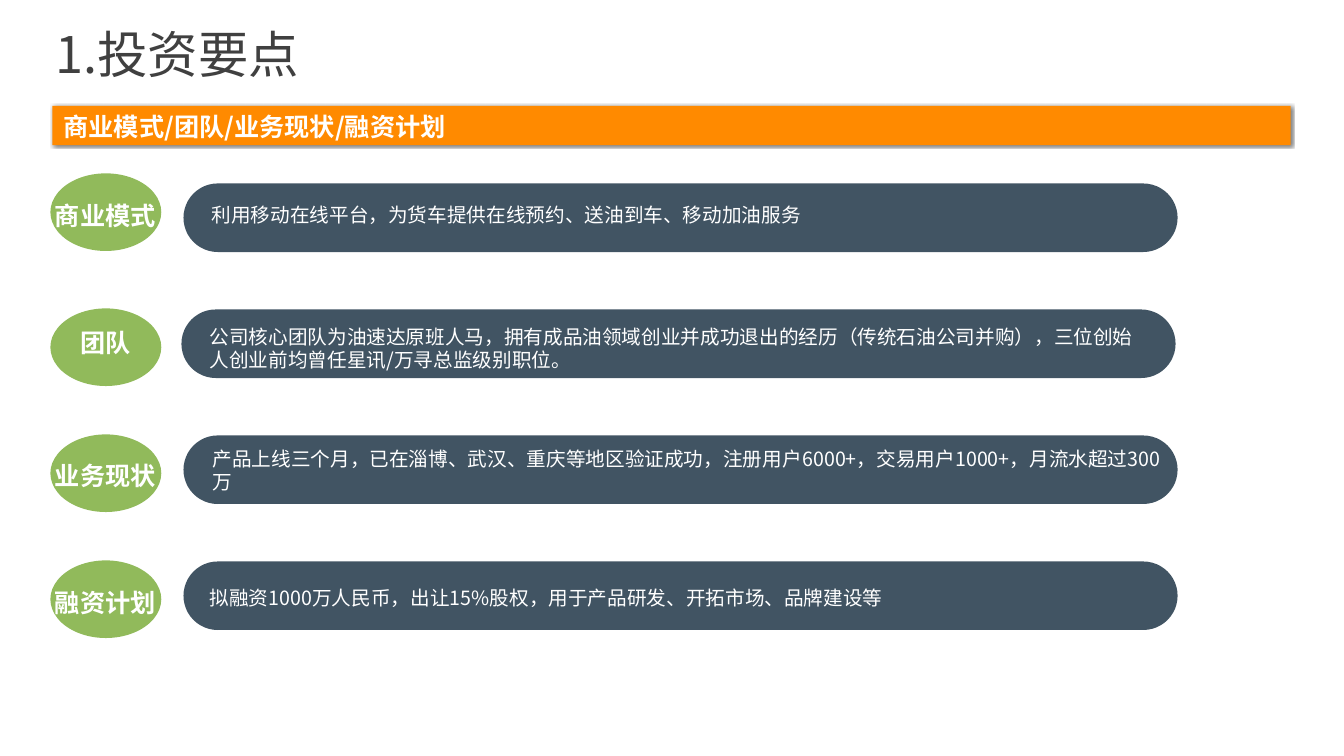
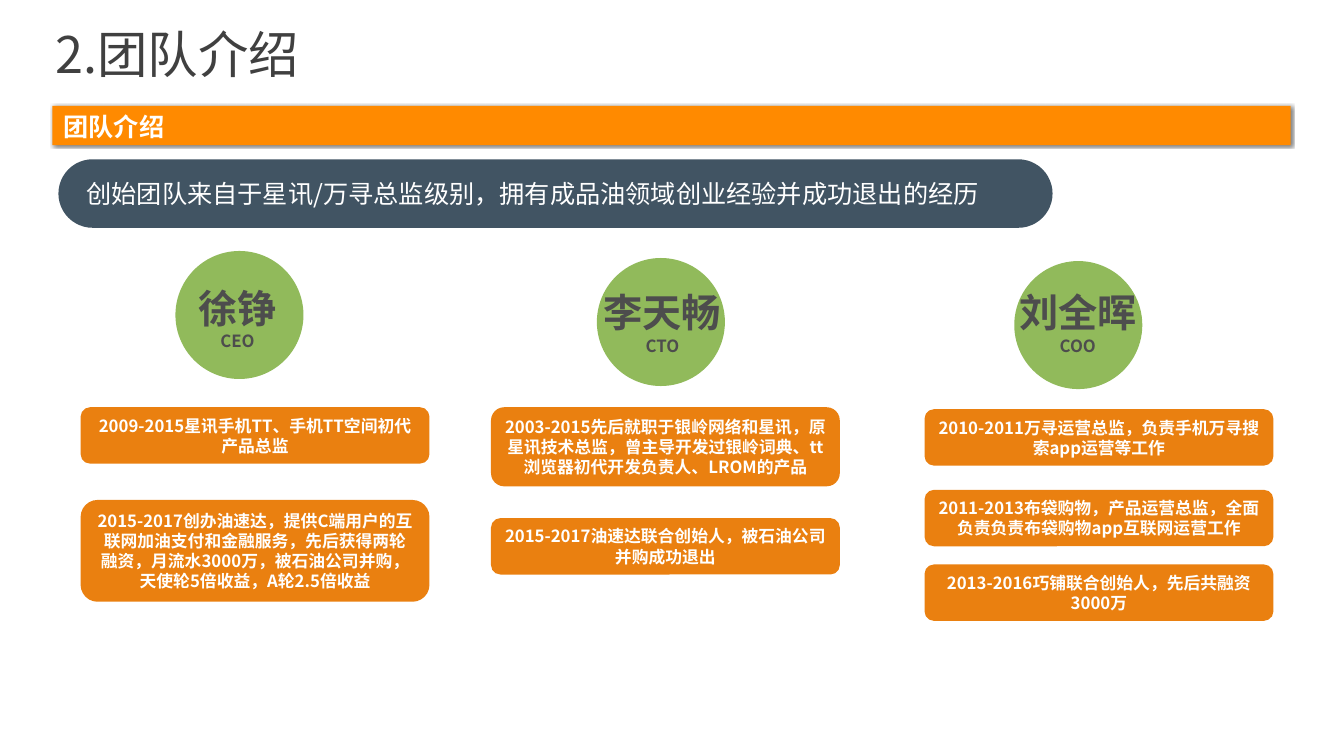
from dataclasses import dataclass

from lxml.etree import SubElement
from pptx import Presentation
from pptx.dml.color import RGBColor
from pptx.enum.shapes import MSO_SHAPE
from pptx.enum.text import MSO_ANCHOR, MSO_AUTO_SIZE, PP_ALIGN
from pptx.oxml.ns import qn
from pptx.util import Inches, Pt

FONT = "Noto Sans CJK SC"
COLORS = {
    "title": "404040",
    "band": "FF8A00",
    "pill": "415463",
    "badge": "91BA5B",
    "card": "EA8010",
    "name": "4D4D4D",
    "white": "FFFFFF",
}
ROW_TOP, ROW_PITCH = 1.82, 1.25
CIRCLE_SIZE = 1.27
CARD_WIDTH = 3.46


@dataclass
class Point:
    label: str
    text: str
    pill_x: float
    badge_y: float
    label_y: float
    text_x: float
    text_y: float
    text_w: float = 9.52


@dataclass
class Card:
    y: float
    lines: int
    text: str


@dataclass
class Member:
    name: str
    role: str
    circle_x: float
    circle_y: float
    name_x: float
    name_y: float
    name_w: float
    card_x: float
    cards: list[Card]


POINTS = [
    Point("商业模式", "利用移动在线平台，为货车提供在线预约、送油到车、移动加油服务",
          1.82, 1.72, 1.94, 2.0, 1.96),
    Point("团队", "公司核心团队为油速达原班人马，拥有成品油领域创业并成功退出的经历"
          "（传统石油公司并购），三位创始人创业前均曾任星讯/万寻总监级别职位。",
          1.8, 3.06, 3.2, 1.98, 3.17),
    Point("业务现状", "产品上线三个月，已在淄博、武汉、重庆等地区验证成功，"
          "注册用户6000+，交易用户1000+，月流水超过300万",
          1.82, 4.31, 4.52, 2.01, 4.38, 9.68),
    Point("融资计划", "拟融资1000万人民币，出让15%股权，用于产品研发、开拓市场、品牌建设等",
          1.82, 5.56, 5.78, 1.98, 5.76),
]

TEAM = [
    Member("徐铮", "CEO", 1.74, 2.49, 1.86, 2.77, 0.99, 0.8, [
        Card(4.04, 2, "2009-2015星讯手机TT、手机TT空间初代产品总监"),
        Card(4.96, 4, "2015-2017创办油速达，提供C端用户的互联网加油支付和金融服务，"
                      "先后获得两轮融资，月流水3000万，被石油公司并购，"
                      "天使轮5倍收益，A轮2.5倍收益"),
    ]),
    Member("李天畅", "CTO", 5.92, 2.56, 5.88, 2.81, 1.38, 4.87, [
        Card(4.04, 3, "2003-2015先后就职于银岭网络和星讯，原星讯技术总监，"
                      "曾主导开发过银岭词典、tt浏览器初代开发负责人、LROM的产品"),
        Card(5.14, 2, "2015-2017油速达联合创始人，被石油公司并购成功退出"),
    ]),
    Member("刘全晖", "COO", 10.06, 2.59, 10.0, 2.81, 1.38, 9.17, [
        Card(4.06, 2, "2010-2011万寻运营总监，负责手机万寻搜索app运营等工作"),
        Card(4.86, 2, "2011-2013布袋购物，产品运营总监，"
                      "全面负责负责布袋购物app互联网运营工作"),
        Card(5.6, 2, "2013-2016巧铺联合创始人，先后共融资3000万"),
    ]),
]


def style(p, size: float, color: str, bold: bool = False, align=PP_ALIGN.LEFT) -> None:
    p.alignment = align
    p.font.size = Pt(size)
    p.font.bold = bold
    p.font.name = FONT
    p.font.color.rgb = RGBColor.from_string(COLORS[color])
    # East Asian glyphs use the same typeface
    SubElement(p._p.pPr.find(qn("a:defRPr")), qn("a:ea"), typeface=FONT)


def zero_margins(tf) -> None:
    tf.margin_left = tf.margin_top = tf.margin_right = tf.margin_bottom = 0


def add_text(s, x: float, y: float, w: float, h: float, text: str, size: float,
             color: str = "white", bold: bool = False, align=PP_ALIGN.LEFT):
    tf = s.shapes.add_textbox(Inches(x), Inches(y), Inches(w), Inches(h)).text_frame
    tf.word_wrap = True
    p = tf.paragraphs[0]
    p.text = text
    style(p, size, color, bold, align)
    return tf


def add_block(s, kind, x: float, y: float, w: float, h: float, color: str):
    sp = s.shapes.add_shape(kind, Inches(x), Inches(y), Inches(w), Inches(h))
    sp.shadow.inherit = False
    sp.fill.solid()
    sp.fill.fore_color.rgb = RGBColor.from_string(COLORS[color])
    sp.line.fill.background()
    return sp


def add_pill(s, x: float, y: float) -> None:
    sp = add_block(s, MSO_SHAPE.ROUNDED_RECTANGLE, x, y, 9.86, 0.68, "pill")
    sp.adjustments[0] = 0.5


def add_band_shadow(sp) -> None:
    effects = sp._element.spPr.find(qn("a:effectLst"))
    shadow = SubElement(effects, qn("a:outerShdw"), blurRad=str(Pt(2)),
                        dist=str(Pt(1)), dir="2700000", algn="tl", rotWithShape="0")
    clr = SubElement(shadow, qn("a:srgbClr"), val="000000")
    SubElement(clr, qn("a:alpha"), val="50000")


def add_slide(prs, title: str, subtitle: str):
    s = prs.slides.add_slide(prs.slide_layouts[5])
    # Title
    sp = s.shapes.title
    sp.left, sp.top, sp.width, sp.height = map(Inches, (0.55, 0.35, 12.26, 0.48))
    tf = sp.text_frame
    tf.text = title
    tf.word_wrap = True
    tf.auto_size = MSO_AUTO_SIZE.NONE
    tf.vertical_anchor = MSO_ANCHOR.TOP
    zero_margins(tf)
    p = tf.paragraphs[0]
    p.line_spacing = 0.8
    style(p, 36, "title")
    # Subtitle band
    add_band_shadow(add_block(s, MSO_SHAPE.RECTANGLE, 0.52, 1.05, 12.28, 0.39, "band"))
    zero_margins(add_text(s, 0.63, 1.1, 11.69, 0.3, subtitle, 18, bold=True))
    return s


def add_point(s, row: int, point: Point) -> None:
    add_pill(s, point.pill_x, ROW_TOP + row * ROW_PITCH)
    add_text(s, point.text_x, point.text_y, point.text_w, 0.34, point.text, 14)
    add_block(s, MSO_SHAPE.OVAL, 0.5, point.badge_y, 1.1, 0.77, "badge")
    add_text(s, 0.27, point.label_y, 1.55, 0.4, point.label, 18,
             bold=True, align=PP_ALIGN.CENTER)


def add_card(s, x: float, card: Card) -> None:
    height = 0.11 + 0.225 * card.lines
    sp = add_block(s, MSO_SHAPE.ROUNDED_RECTANGLE, x, card.y, CARD_WIDTH, height, "card")
    p = sp.text_frame.paragraphs[0]
    p.text = card.text
    style(p, 12, "white", True, PP_ALIGN.CENTER)


def add_member(s, member: Member) -> None:
    add_block(s, MSO_SHAPE.OVAL, member.circle_x, member.circle_y,
              CIRCLE_SIZE, CIRCLE_SIZE, "badge")
    tf = add_text(s, member.name_x, member.name_y, member.name_w, 0.77, member.name,
                  28, "name", True, PP_ALIGN.CENTER)
    tf.word_wrap = False
    p = tf.add_paragraph()
    p.text = member.role
    style(p, 12, "name", True, PP_ALIGN.CENTER)
    for card in member.cards:
        add_card(s, member.card_x, card)


def main() -> None:
    prs = Presentation()
    prs.slide_width, prs.slide_height = Inches(13.33), Inches(7.5)

    # Investment highlights
    s = add_slide(prs, "1.投资要点", "商业模式/团队/业务现状/融资计划")
    for row, point in enumerate(POINTS):
        add_point(s, row, point)

    # Team
    s = add_slide(prs, "2.团队介绍", "团队介绍")
    add_pill(s, 0.58, 1.58)
    add_text(s, 0.76, 1.72, 9.52, 0.4,
             "创始团队来自于星讯/万寻总监级别，拥有成品油领域创业经验并成功退出的经历", 18)
    for member in TEAM:
        add_member(s, member)

    prs.save("out.pptx")


if __name__ == "__main__":
    main()
